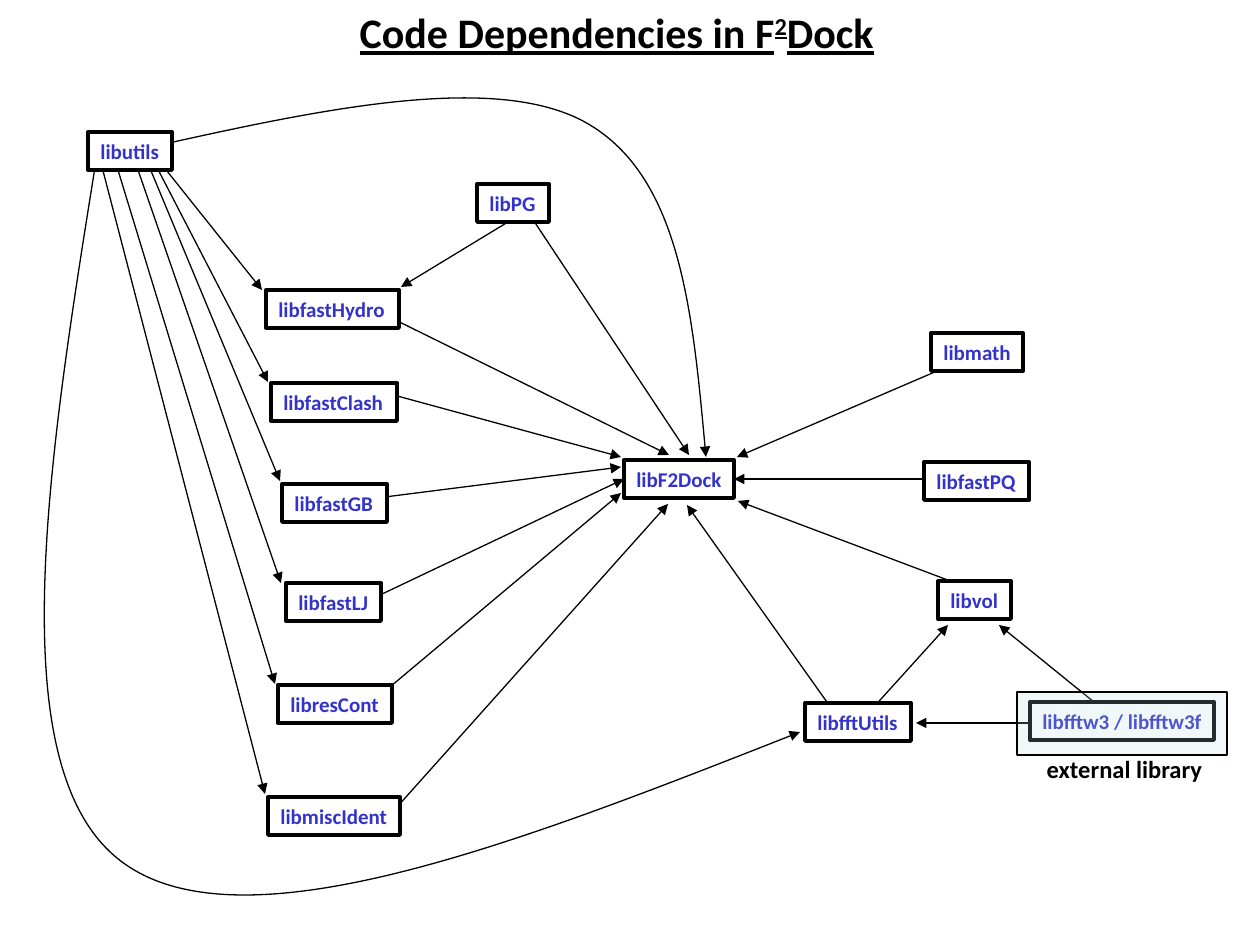
from lxml import etree
from pptx import Presentation
from pptx.dml.color import RGBColor
from pptx.enum.shapes import MSO_CONNECTOR, MSO_SHAPE
from pptx.enum.text import MSO_ANCHOR, MSO_AUTO_SIZE, PP_ALIGN
from pptx.oxml.ns import qn
from pptx.util import Emu, Pt

STRAIGHT = MSO_CONNECTOR.STRAIGHT
RECTANGLE = MSO_SHAPE.RECTANGLE
TOP = MSO_ANCHOR.TOP
FIXED = MSO_AUTO_SIZE.NONE
LEFT, CENTER = PP_ALIGN.LEFT, PP_ALIGN.CENTER

SCALE = 914400 / 126
TITLE_ONLY = 5
LEFT_SIDE, RIGHT_SIDE = 1, 3
BOX_HEIGHT = 38
BLACK, WHITE, BLUE, PALE_TEAL = "000000", "FFFFFF", "3333CC", "BBE0E3"

LIBRARIES = {
    "libutils": (88, 132, 84),
    "libPG": (477, 184, 72),
    "libfastHydro": (266, 290, 133),
    "libfastClash": (271, 383, 126),
    "libfastGB": (282, 484, 105),
    "libfastLJ": (286, 583, 95),
    "libresCont": (278, 685, 114),
    "libmiscIdent": (268, 797, 132),
    "libmath": (931, 333, 92),
    "libfastPQ": (924, 462, 105),
    "libvol": (938, 581, 73),
    "libfftUtils": (805, 703, 106),
    "libF2Dock": (624, 460, 110),
    "libfftw3 / libfftw3f": (1030, 702, 184),
}

ARROWS = [
    ((139, 136), (262, 290)),
    ((149, 152), (268, 382)),
    ((139, 142), (280, 481)),
    ((129, 144), (281, 583)),
    ((107, 134), (275, 684)),
    ((95, 140), (265, 794)),
    ((536, 205), (401, 287)),
    ((522, 203), (689, 455)),
    ((367, 306), (669, 455)),
    ((379, 391), (621, 457)),
    ((369, 499), (621, 467)),
    ((359, 713), (621, 493)),
    ((381, 825), (668, 504)),
    ((979, 353), (737, 457)),
    ((990, 596), (738, 501)),
    ((844, 726), (687, 505)),
    ((863, 719), (948, 625)),
    ((1115, 719), (999, 625)),
    ((1052, 723), (916, 723)),
]

JOINED_ARROWS = [
    ((359, 605), "libF2Dock", LEFT_SIDE),
    ((948, 479), "libF2Dock", RIGHT_SIDE),
]

CURVES = [
    [(97, 155), (48, 459), (0, 762), (117, 858),
     (234, 954), (518, 843), (800, 732)],
    [(129, 152), (307, 112), (488, 71), (583, 121),
     (680, 173), (693, 315), (706, 457)],
]


def px(*lengths):
    """Turn pixel lengths into a list of EMU lengths."""
    return [Emu(round(length * SCALE)) for length in lengths]


def color(value):
    """Turn a hex string into a colour."""
    return RGBColor.from_string(value)


def write(shape, *parts, size, ink=BLACK, align=LEFT, underline=None):
    """Fill a shape with one bold paragraph; a (text, baseline) part is raised."""
    frame = shape.text_frame
    frame.word_wrap = True
    frame.auto_size = FIXED
    frame.vertical_anchor = TOP
    if align == LEFT:
        frame.margin_right = 0
    para = frame.paragraphs[0]
    para.alignment = align
    for part in parts:
        text, baseline = part if isinstance(part, tuple) else (part, None)
        span = para.add_run()
        span.text = text
        span.font.name = "Calibri"
        span.font.size = Pt(size)
        span.font.bold = True
        span.font.underline = underline
        span.font.color.rgb = color(ink)
        if baseline:
            span._r.get_or_add_rPr().set("baseline", str(baseline * 1000))


def stroke(shape, width):
    """Give a shape or connector a black line."""
    shape.line.color.rgb = color(BLACK)
    shape.line.width = Pt(width)


def add_box(page, left, top, width, height, fill, line_width):
    """Add a filled rectangle with a black outline."""
    box = page.shapes.add_shape(RECTANGLE, *px(left, top, width, height))
    box.shadow.inherit = False
    box.fill.solid()
    box.fill.fore_color.rgb = color(fill)
    stroke(box, line_width)
    return box


def finish_arrow(page, arrow):
    """Draw a thin line with an arrowhead, behind the boxes."""
    stroke(arrow, 0.75)
    line = arrow.line._get_or_add_ln()
    etree.SubElement(line, qn("a:tailEnd"), type="triangle")
    page.shapes._spTree.insert(2, arrow._element)


def add_arrow(page, start, end):
    """Add a straight arrow."""
    arrow = page.shapes.add_connector(STRAIGHT, *px(*start, *end))
    finish_arrow(page, arrow)
    etree.SubElement(arrow._element.spPr, qn("a:effectLst"))
    return arrow


def add_curve(page, points):
    """Add a curved arrow through a chain of Bezier control points."""
    start, *rest = [px(*point) for point in points]
    builder = page.shapes.build_freeform(*start, scale=1.0)
    builder.add_line_segments(rest, close=False)
    curve = builder.convert_to_shape()
    curve.shadow.inherit = False
    curve.fill.background()
    segments = list(curve._element.iter(qn("a:lnTo")))
    outline = segments[0].getparent()
    for first in range(0, len(segments), 3):
        bezier = etree.SubElement(outline, qn("a:cubicBezTo"))
        for segment in segments[first:first + 3]:
            bezier.append(segment[0])
            outline.remove(segment)
    finish_arrow(page, curve)


def add_label(page, left, top, width, height, text, **style):
    """Add a text box."""
    label = page.shapes.add_textbox(*px(left, top, width, height))
    write(label, text, **style)


def add_title(page):
    """Place and fill the title."""
    title = page.shapes.title
    title.left, title.top, title.width, title.height = px(347, 0, 540, 63)
    write(title, "Code Dependencies in F", ("2", 30), "Dock",
          size=24, underline=True)


def add_external_frame(page):
    """Add the translucent frame around the external library."""
    frame = add_box(page, 1017, 692, 210, 63, PALE_TEAL, 0.75)
    tint = next(frame._element.spPr.iter(qn("a:srgbClr")))
    etree.SubElement(tint, qn("a:alpha"), val="20000")


def main():
    """Build the dependency slide."""
    deck = Presentation()
    deck.slide_width, deck.slide_height = px(1260, 945)
    page = deck.slides.add_slide(deck.slide_layouts[TITLE_ONLY])
    add_title(page)
    boxes = {}
    for name, (left, top, width) in LIBRARIES.items():
        boxes[name] = add_box(page, left, top, width, BOX_HEIGHT, WHITE, 2.25)
        write(boxes[name], name, size=12, ink=BLUE)
    for start, end in ARROWS:
        add_arrow(page, start, end)
    for start, name, side in JOINED_ARROWS:
        add_arrow(page, start, start).end_connect(boxes[name], side)
    for points in CURVES:
        add_curve(page, points)
    add_external_frame(page)
    add_label(page, 1034, 748, 181, 43, "external library",
              size=14, align=CENTER)
    deck.save("out.pptx")


if __name__ == "__main__":
    main()
